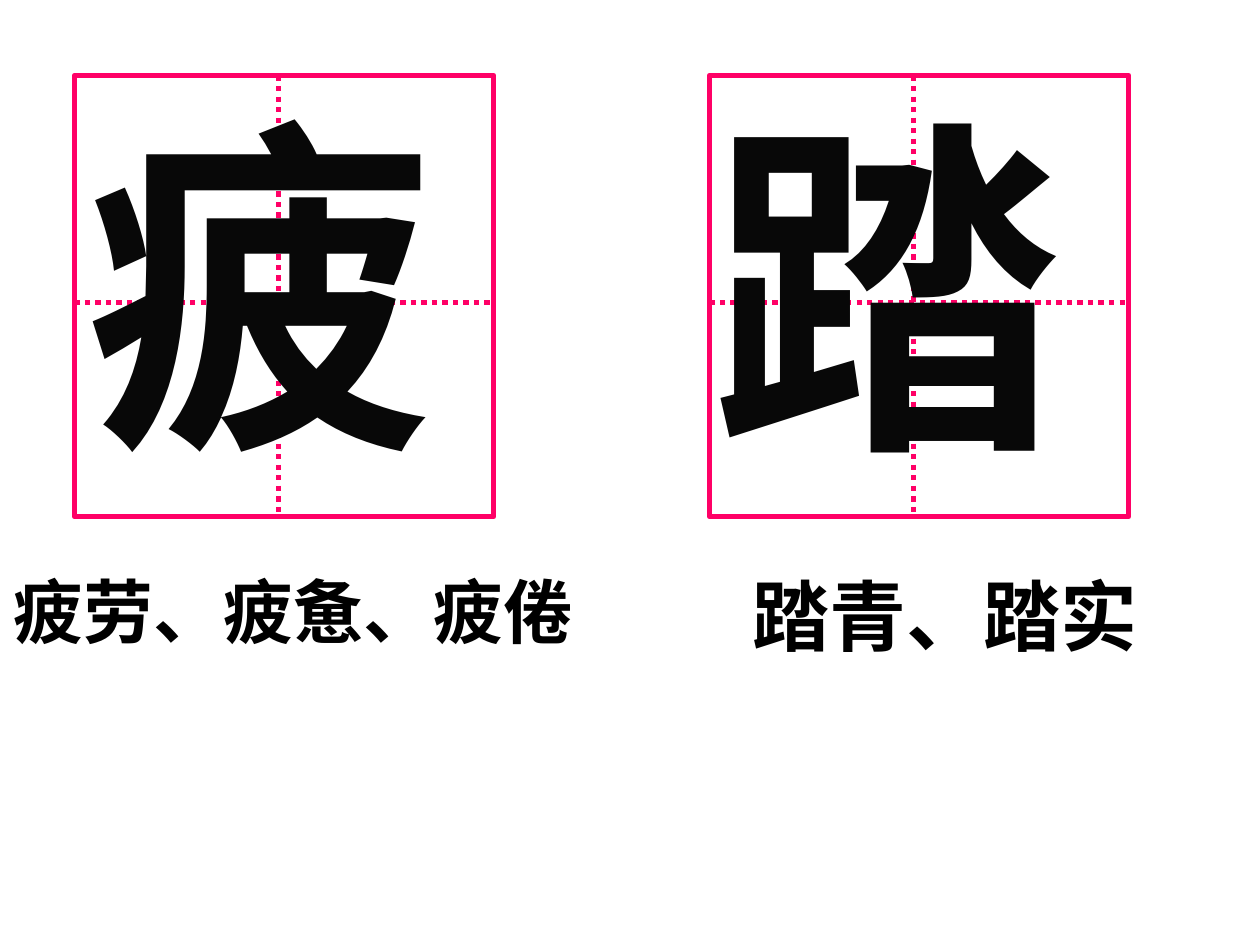
"""Build a slide with two Chinese characters in practice grids and example words."""
import lxml.etree
import pptx
import pptx.dml.color
import pptx.enum.dml
import pptx.enum.shapes
import pptx.enum.text
import pptx.oxml
import pptx.oxml.ns
import pptx.util

Inches = pptx.util.Inches
PINK = "FF0066"
GRID_TOP, GRID_WIDTH, GRID_HEIGHT = 0.6, 3.33, 3.5
SHADOW = (
    '<a:effectLst xmlns:a="http://schemas.openxmlformats.org/drawingml/2006/main">'
    '<a:outerShdw blurRad="38100" dist="38100" dir="2700000" algn="tl">'
    '<a:srgbClr val="C0C0C0"/></a:outerShdw></a:effectLst>'
)


def rgb(value):
    return pptx.dml.color.RGBColor.from_string(value)


def add_text(text, box, size, color="000000", align="LEFT", wrap=True, shadow=False):
    frame = slide.shapes.add_textbox(*map(Inches, box)).text_frame
    frame.word_wrap = wrap
    frame.auto_size = pptx.enum.text.MSO_AUTO_SIZE.SHAPE_TO_FIT_TEXT
    paragraph = frame.paragraphs[0]
    paragraph.alignment = pptx.enum.text.PP_ALIGN[align]
    run = paragraph.add_run()
    run.text = text
    run.font.size = pptx.util.Pt(size)
    run.font.bold = True
    run.font.color.rgb = rgb(color)
    if shadow:
        run.font.fill._xPr.append(pptx.oxml.parse_xml(SHADOW))
    run.font.name = "Times New Roman"


presentation = pptx.Presentation()
presentation.slide_width = Inches(10)
presentation.slide_height = Inches(7.5)
slide = presentation.slides.add_slide(presentation.slide_layouts[6])

for character, grid_left, character_left in [("疲", 0.59, 0.59), ("踏", 5.63, 5.55)]:
    grid = slide.shapes.add_group_shape().shapes
    square = grid.add_shape(
        pptx.enum.shapes.MSO_SHAPE.RECTANGLE,
        Inches(grid_left), Inches(GRID_TOP), Inches(GRID_WIDTH), Inches(GRID_HEIGHT),
    )
    square.shadow.inherit = False
    square.fill.solid()
    square.fill.fore_color.rgb = rgb("FFFFFF")
    square.line.color.rgb = rgb(PINK)
    square.line.width = pptx.util.Pt(3)

    middle_x, middle_y = grid_left + 1.62, GRID_TOP + 1.8
    for guide_ends in [
        (middle_x, GRID_TOP, middle_x, GRID_TOP + GRID_HEIGHT),
        (grid_left, middle_y, grid_left + GRID_WIDTH, middle_y),
    ]:
        guide = grid.add_connector(
            pptx.enum.shapes.MSO_CONNECTOR.STRAIGHT, *map(Inches, guide_ends)
        )
        guide.line.color.rgb = rgb(PINK)
        guide.line.width = pptx.util.Pt(3)
        guide.line.dash_style = pptx.enum.dml.MSO_LINE.ROUND_DOT
        lxml.etree.SubElement(guide._element.spPr, pptx.oxml.ns.qn("a:effectLst"))

    add_text(character, (character_left, 0.52, 3.42, 3.44), 200, color="080808")

for words, box, size in [
    ("疲劳、疲惫、疲倦", (0.01, 4.46, 4.64, 0.77), 40),
    ("踏青、踏实", (5.87, 4.46, 3.26, 0.84), 44),
]:
    add_text(words, box, size, align="CENTER", wrap=False, shadow=True)

presentation.save("out.pptx")
